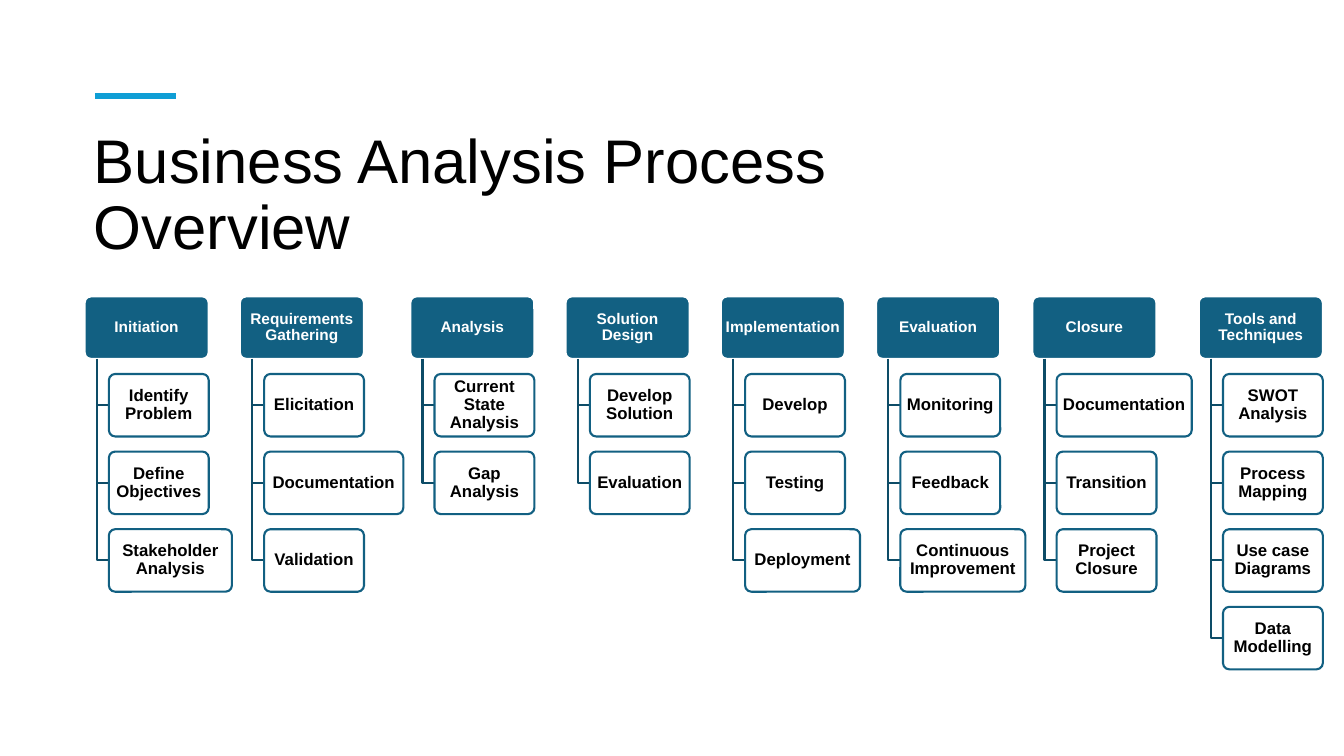
from lxml import etree
from pptx import Presentation
from pptx.dml.color import RGBColor
from pptx.enum import shapes, text
from pptx.oxml.ns import qn
from pptx.util import Inches, Pt

WHITE = RGBColor(0xFF, 0xFF, 0xFF)
BLACK = RGBColor(0x00, 0x00, 0x00)
TEAL = RGBColor(0x12, 0x60, 0x82)
DARK_TEAL = RGBColor(0x0D, 0x4C, 0x67)
BRIGHT_BLUE = RGBColor(0x0F, 0x9E, 0xD5)

HEAD_WIDTH, BOX_HEIGHT = 1.23, 0.62
INDENT = 0.24
STEP_WIDTH = HEAD_WIDTH - INDENT
ROW_PITCH = 0.77
PHASE_PITCH = 1.54
MIN_GAP = 0.07

# Each phase lists its steps as (label, box width).
PHASES = [
    ("Initiation", [("Identify Problem", STEP_WIDTH),
                    ("Define Objectives", STEP_WIDTH),
                    ("Stakeholder Analysis", 1.22)]),
    ("Requirements Gathering", [("Elicitation", STEP_WIDTH),
                                ("Documentation", 1.38),
                                ("Validation", STEP_WIDTH)]),
    ("Analysis", [("Current State Analysis", STEP_WIDTH),
                  ("Gap Analysis", STEP_WIDTH)]),
    ("Solution Design", [("Develop Solution", STEP_WIDTH),
                         ("Evaluation", STEP_WIDTH)]),
    ("Implementation", [("Develop", STEP_WIDTH),
                        ("Testing", STEP_WIDTH),
                        ("Deployment", 1.14)]),
    ("Evaluation", [("Monitoring", STEP_WIDTH),
                    ("Feedback", STEP_WIDTH),
                    ("Continuous Improvement", 1.24)]),
    ("Closure", [("Documentation", 1.34),
                 ("Transition", STEP_WIDTH),
                 ("Project Closure", STEP_WIDTH)]),
    ("Tools and Techniques", [("SWOT Analysis", STEP_WIDTH),
                              ("Process Mapping", STEP_WIDTH),
                              ("Use case Diagrams", STEP_WIDTH),
                              ("Data Modelling", STEP_WIDTH)]),
]


def write(shape, words, *, size, color, bold=False, align=text.PP_ALIGN.LEFT,
          anchor=text.MSO_ANCHOR.TOP, insets=(0.1, 0.05)):
    frame = shape.text_frame
    frame.word_wrap = True
    frame.auto_size = text.MSO_AUTO_SIZE.NONE
    frame.vertical_anchor = anchor
    frame.margin_left = frame.margin_right = Inches(insets[0])
    frame.margin_top = frame.margin_bottom = Inches(insets[1])
    paragraph = frame.paragraphs[0]
    paragraph.alignment = align
    paragraph.line_spacing = 0.9
    run = paragraph.add_run()
    run.text = words
    run.font.name = "Arial"
    run.font.size = Pt(size)
    run.font.bold = bold
    run.font.color.rgb = color


def add_heading(slide, left, top, width, height):
    title = slide.shapes.title
    title.left, title.top = Inches(left), Inches(top)
    title.width, title.height = Inches(width), Inches(height)
    write(title, "Business Analysis Process Overview", size=44, color=BLACK)

    accent_left, accent_top = Inches(left + 0.11), Inches(top - 0.29)
    accent = slide.shapes.add_connector(
        shapes.MSO_CONNECTOR.STRAIGHT, accent_left, accent_top,
        accent_left + Inches(0.81), accent_top)
    accent.line.color.rgb = BRIGHT_BLUE
    accent.line.width = Pt(4.5)
    etree.SubElement(accent._element.spPr, qn("a:effectLst"))


def add_box(slide, label, left, top, width, *, fill, line, color, size):
    box = slide.shapes.add_shape(
        shapes.MSO_SHAPE.ROUNDED_RECTANGLE, Inches(left), Inches(top),
        Inches(width), Inches(BOX_HEIGHT))
    box.adjustments[0] = 0.1
    box.shadow.inherit = False
    box.fill.solid()
    box.fill.fore_color.rgb = fill
    box.line.color.rgb = line
    box.line.width = Pt(1.5)
    write(box, label, size=size, color=color, bold=True,
          align=text.PP_ALIGN.CENTER, anchor=text.MSO_ANCHOR.MIDDLE,
          insets=(0.02, 0.02))


def add_elbow(slide, left, top, right, bottom):
    """Draw a line down from (left, top), then across to (right, bottom)."""
    builder = slide.shapes.build_freeform(Inches(left), Inches(top))
    builder.add_line_segments(
        [(Inches(left), Inches(bottom)), (Inches(right), Inches(bottom))],
        close=False)
    elbow = builder.convert_to_shape()
    elbow.shadow.inherit = False
    elbow.fill.background()
    elbow.line.color.rgb = DARK_TEAL
    elbow.line.width = Pt(1.5)


def add_phase(slide, phase, steps, left, top):
    add_box(slide, phase, left, top, HEAD_WIDTH,
            fill=TEAL, line=WHITE, color=WHITE, size=11)
    step_left = left + INDENT
    for row, (step, width) in enumerate(steps, start=1):
        step_top = top + row * ROW_PITCH
        add_elbow(slide, left + INDENT / 2, top + BOX_HEIGHT,
                  step_left, step_top + BOX_HEIGHT / 2)
        add_box(slide, step, step_left, step_top, width,
                fill=WHITE, line=TEAL, color=BLACK, size=12)


def add_process(slide, left, top):
    """Place phases at an even pitch, moved on where a wide step needs room."""
    for phase, steps in PHASES:
        add_phase(slide, phase, steps, left, top)
        widest = max(width for _, width in steps)
        left += max(PHASE_PITCH, INDENT + widest + MIN_GAP)


def main():
    deck = Presentation()
    deck.slide_width, deck.slide_height = Inches(13.33), Inches(7.5)
    slide = deck.slides.add_slide(deck.slide_layouts[5])
    add_heading(slide, 0.83, 1.24, 9.31, 1.08)
    add_process(slide, 0.84, 2.94)
    deck.save("out.pptx")


if __name__ == "__main__":
    main()
